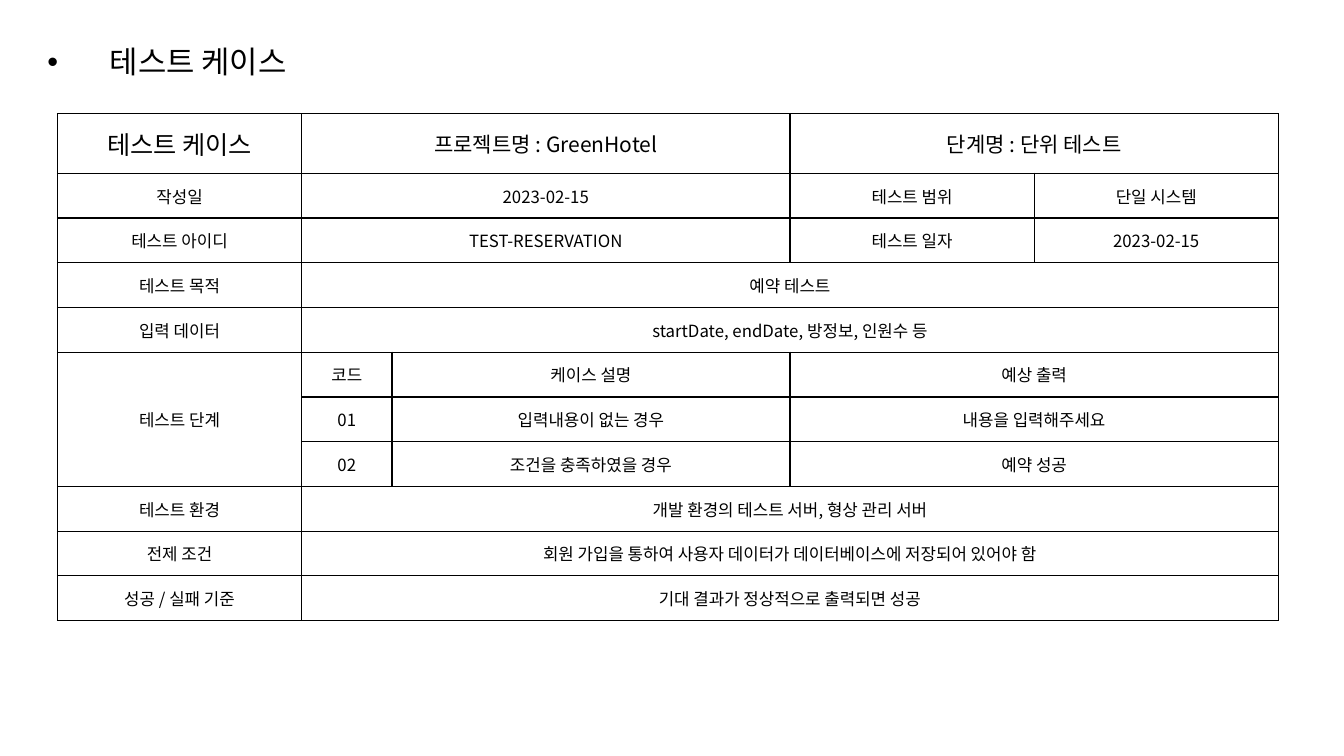
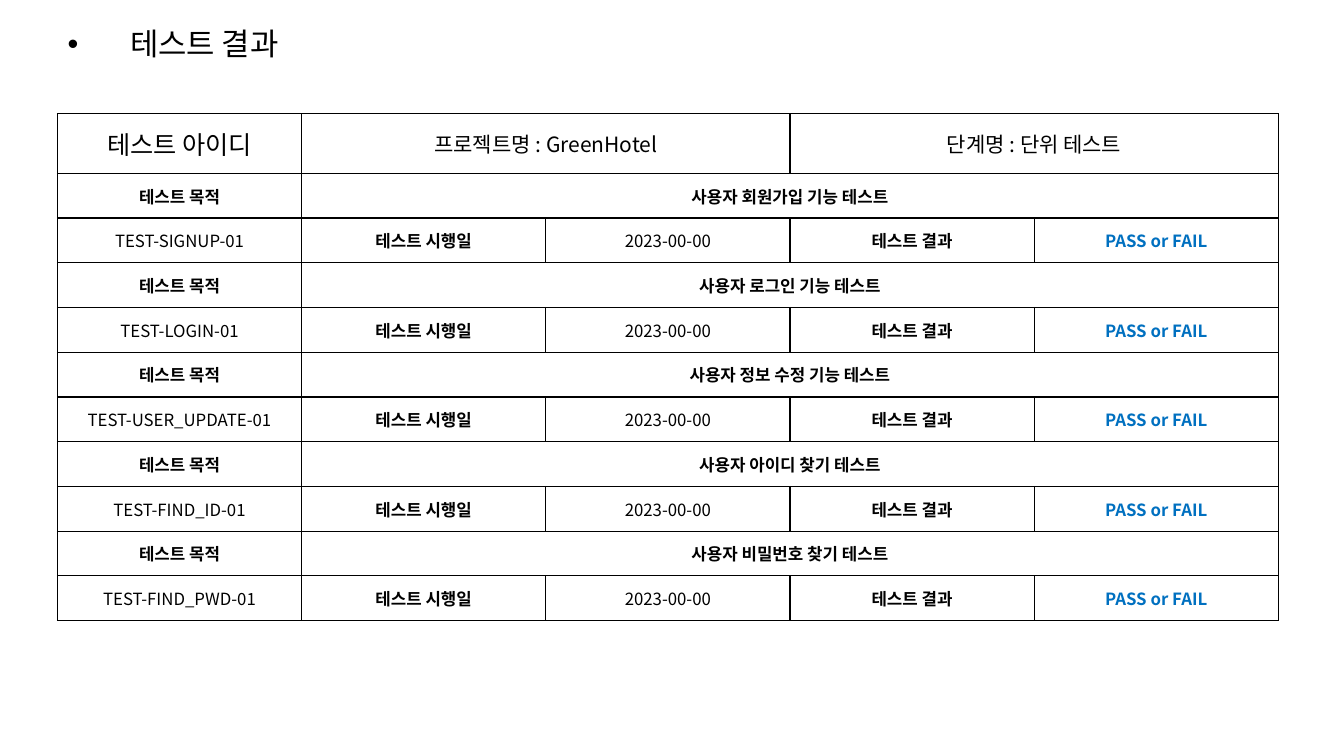
from typing import Any, NamedTuple

from lxml import etree
from pptx import Presentation
from pptx import util as u
from pptx.dml import color
from pptx.enum import text
from pptx.oxml import ns
from pptx.slide import Slide

WIDE, HIGH = 13.33, 7.5
FACE = "Noto Sans CJK KR"
BLACK, WHITE, BLUE = "000000", "FFFFFF", "0070C0"
LEFT, TOP, SPAN, TALL = 0.57, 1.13, 12.11, 5.03
HEAD = 0.59
INDENT = 0.62
EVEN = (1, 1, 1, 1, 1)
CASE = (1, 0.37, 1.63, 1, 1)
MID = text.MSO_ANCHOR.MIDDLE


class Cell(NamedTuple):
    words: str
    cols: int = 1
    rows: int = 1
    size: int = 12
    bold: bool = False
    hue: str = BLACK


class Page(NamedTuple):
    title: str
    left: float
    top: float
    cols: tuple[float, ...]
    rows: list[list[Cell]]


def apply(item: Any, form: dict[str, Any]) -> None:
    for name, value in form.items():
        setattr(item, name, value)


def tint(fill: Any, hue: str) -> None:
    fill.solid()
    fill.fore_color.rgb = color.RGBColor.from_string(hue)


def node(root: Any, tag: str, **attrs: str) -> Any:
    return etree.SubElement(root, ns.qn(tag), attrs)


def write(para: Any, words: str, size: int, bold: bool, hue: str) -> None:
    run = para.add_run()
    run.text = words
    apply(run.font, {"name": FACE, "size": u.Pt(size), "bold": bold})
    tint(run.font.fill, hue)
    node(run._r.get_or_add_rPr(), "a:ea", typeface=FACE)


def edge(cell: Any) -> None:
    props = cell._tc.get_or_add_tcPr()
    for side in "LRTB":
        line = node(props, f"a:ln{side}", w=str(u.Pt(1)))
        node(node(line, "a:solidFill"), "a:srgbClr", val=BLACK)


def head(slide: Slide, page: Page) -> None:
    box = slide.shapes.title
    apply(box, {"left": u.Inches(page.left), "top": u.Inches(page.top),
                "width": u.Inches(11.81), "height": u.Inches(0.91)})
    frame = box.text_frame
    apply(frame, {"word_wrap": True, "vertical_anchor": MID,
                  "auto_size": text.MSO_AUTO_SIZE.NONE})
    para = frame.paragraphs[0]
    apply(para, {"alignment": text.PP_ALIGN.LEFT, "line_spacing": 0.9})
    props = para._p.get_or_add_pPr()
    props.set("marL", str(u.Inches(INDENT)))
    props.set("indent", str(u.Inches(-INDENT)))
    node(props, "a:buFont", typeface="Arial")
    node(props, "a:buChar", char="•")
    write(para, page.title, 22, False, BLACK)


def grid(slide: Slide, page: Page) -> None:
    count = len(page.rows)
    area = [u.Inches(n) for n in (LEFT, TOP, SPAN, TALL)]
    table = slide.shapes.add_table(count, len(page.cols), *area).table
    apply(table, {"first_row": False, "horz_banding": False})
    for col, share in zip(table.columns, page.cols):
        col.width = u.Inches(SPAN * share / sum(page.cols))
    for i, row in enumerate(table.rows):
        row.height = u.Inches((TALL - HEAD) / (count - 1) if i else HEAD)
    for cell in table.iter_cells():
        edge(cell)
        tint(cell.fill, WHITE)
    for i, row in enumerate(page.rows):
        j = 0
        for item in row:
            if item.words:
                put(table, i, j, item)
            j += item.cols


def put(table: Any, i: int, j: int, item: Cell) -> None:
    cell = table.cell(i, j)
    if item.cols > 1 or item.rows > 1:
        cell.merge(table.cell(i + item.rows - 1, j + item.cols - 1))
    cell.vertical_anchor = MID
    para = cell.text_frame.paragraphs[0]
    para.alignment = text.PP_ALIGN.CENTER
    write(para, item.words, item.size, item.bold, item.hue)


def top(name: str) -> list[Cell]:
    return [Cell(name, size=18), Cell("프로젝트명 : GreenHotel", 2, size=15),
            Cell("단계명 : 단위 테스트", 2, size=15)]


def full(name: str, words: str, bold: bool = False) -> list[Cell]:
    return [Cell(name, bold=bold), Cell(words, 4, bold=bold)]


def meta(name: str, value: str, label: str, words: str) -> list[Cell]:
    return [Cell(name), Cell(value, 2), Cell(label), Cell(words)]


def step(name: str, code: str, case: str, out: str) -> list[Cell]:
    return [Cell(name, rows=3), Cell(code), Cell(case), Cell(out, 2)]


def test(goal: str, code: str) -> list[list[Cell]]:
    return [full("테스트 목적", goal, True),
            [Cell(f"TEST-{code}-01"), Cell("테스트 시행일", bold=True),
             Cell("2023-00-00"), Cell("테스트 결과", bold=True),
             Cell("PASS or FAIL", bold=True, hue=BLUE)]]


TESTS = {
    "SIGNUP": "사용자 회원가입 기능 테스트",
    "LOGIN": "사용자 로그인 기능 테스트",
    "USER_UPDATE": "사용자 정보 수정 기능 테스트",
    "FIND_ID": "사용자 아이디 찾기 테스트",
    "FIND_PWD": "사용자 비밀번호 찾기 테스트",
}

PAGES = [
    Page("테스트 케이스", 0.37, 0.18, CASE, [
        top("테스트 케이스"),
        meta("작성일", "2023-02-15", "테스트 범위", "단일 시스템"),
        meta("테스트 아이디", "TEST-RESERVATION", "테스트 일자", "2023-02-15"),
        full("테스트 목적", "예약 테스트"),
        full("입력 데이터", "startDate, endDate, 방정보, 인원수 등"),
        step("테스트 단계", "코드", "케이스 설명", "예상 출력"),
        step("", "01", "입력내용이 없는 경우", "내용을 입력해주세요"),
        step("", "02", "조건을 충족하였을 경우", "예약 성공"),
        full("테스트 환경", "개발 환경의 테스트 서버, 형상 관리 서버"),
        full("전제 조건", "회원 가입을 통하여 사용자 데이터가 데이터베이스에 저장되어 있어야 함"),
        full("성공 / 실패 기준", "기대 결과가 정상적으로 출력되면 성공"),
    ]),
    Page("테스트 결과", 0.57, 0, EVEN, [
        top("테스트 아이디"),
        *(row for code, goal in TESTS.items() for row in test(goal, code)),
    ]),
]


def main() -> None:
    deck = Presentation()
    apply(deck, {"slide_width": u.Inches(WIDE), "slide_height": u.Inches(HIGH)})
    for page in PAGES:
        slide = deck.slides.add_slide(deck.slide_layouts[5])
        head(slide, page)
        grid(slide, page)
    deck.save("out.pptx")


if __name__ == "__main__":
    main()
